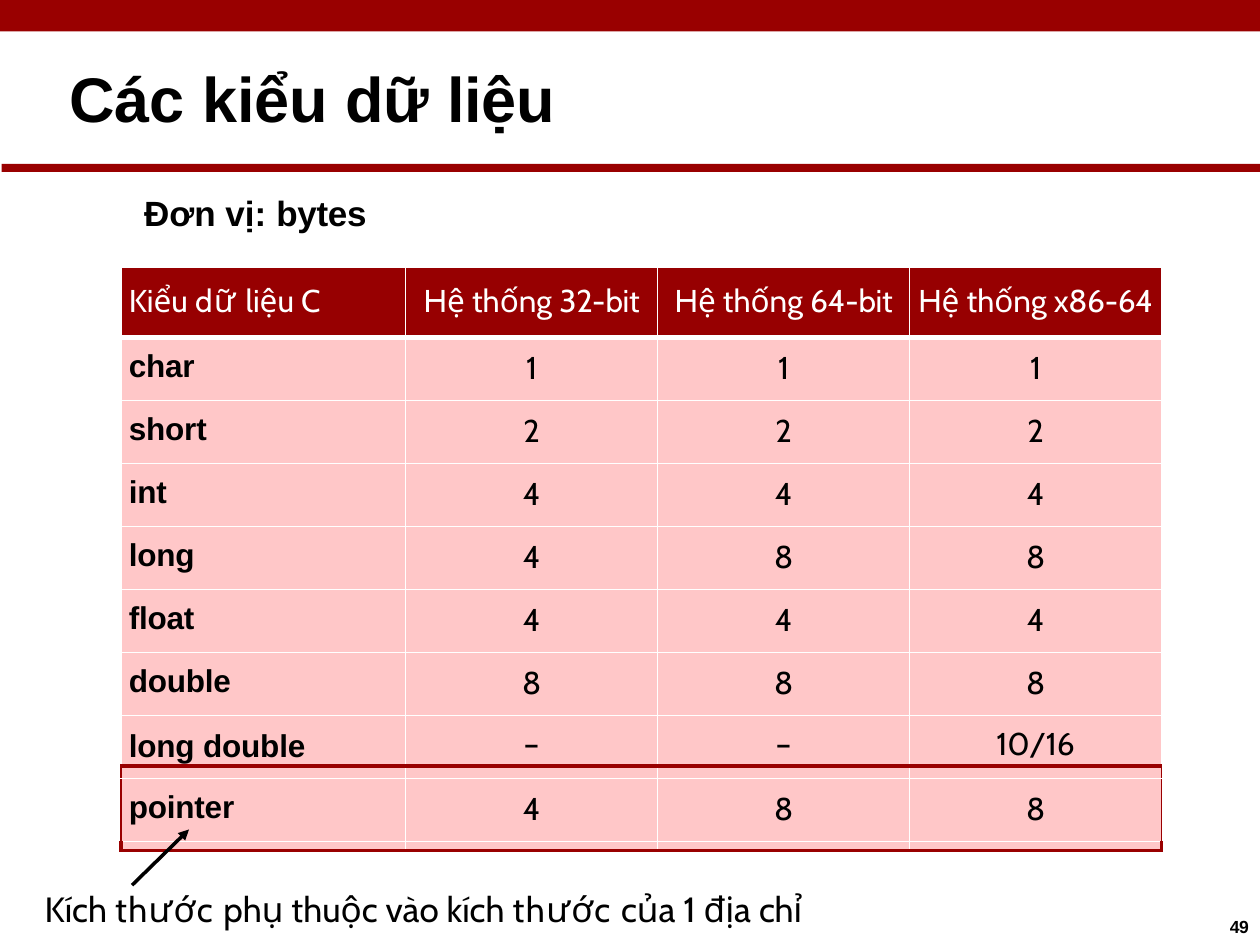
from dataclasses import dataclass

from lxml.etree import SubElement as Sub
from pptx import Presentation
from pptx.dml.color import RGBColor as Rgb
from pptx.enum.shapes import MSO_CONNECTOR as Link, MSO_SHAPE as Kind
from pptx.enum.text import MSO_ANCHOR as Anchor, MSO_AUTO_SIZE as Auto, PP_ALIGN as Align
from pptx.oxml.ns import qn
from pptx.util import Pt


@dataclass(frozen=True)
class Theme:
    red: str = "990000"
    head: str = "970001"
    pink: str = "FFC7C8"
    white: str = "FFFFFF"
    black: str = "000000"
    sans: str = "Arial"
    soft: str = "Cabin"
    title: float = 36
    note: float = 20
    cell: float = 18
    num: float = 10
    tiny: float = 1


T = Theme()
COLS = [162.7, 144, 144, 144]
ROWS = [40.3] + [36] * 6 + [28.8, 7.2, 36, 5]
HEAD = [
    [("Kiểu ", 0), ("dữ ", 0.9), ("liệu ", 0), ("C", -0.5)],
    [("Hệ thống ", 0), ("32-", -0.1), ("bit", -0.2)],
    [("Hệ thống ", 0), ("64-", -0.1), ("bit", -0.2)],
    [("Hệ thống ", 0), ("x86-64", -0.2)],
]
BODY = {
    1: ("char", "1", "1", "1"),
    2: ("short", "2", "2", "2"),
    3: ("int", "4", "4", "4"),
    4: ("long", "4", "8", "8"),
    5: ("float", "4", "4", "4"),
    6: ("double", "8", "8", "8"),
    7: ("long double", "–", "–", "10/16"),
    9: ("pointer", "4", "8", "8"),
}
GAPS = {"–": 4.8, "10/16": -0.1}
TIGHT = 7


def put(item, vals):
    for key, val in vals.items():
        setattr(item, key, val)


def pads(left=0, top=0):
    return dict(margin_left=Pt(left), margin_top=Pt(top), margin_right=0, margin_bottom=0)


def look(size, face, bold=False):
    return dict(size=Pt(size), name=face, bold=bold)


def write(para, runs, font, tint=T.black, align=Align.LEFT):
    para.alignment = align
    for text, gap in runs:
        run = para.add_run()
        run.text = text
        put(run.font, font)
        run.font.color.rgb = Rgb.from_string(tint)
        if gap:
            run.font._element.set("spc", str(round(gap * 100)))


def fill_text(shape, runs, font, left=0, top=0):
    frame = shape.text_frame
    put(frame, dict(word_wrap=True, auto_size=Auto.SHAPE_TO_FIT_TEXT,
                    vertical_anchor=Anchor.TOP, **pads(left, top)))
    write(frame.paragraphs[0], runs, font)


def label(slide, box, runs, font, left=0, top=0):
    shape = slide.shapes.add_textbox(*map(Pt, box))
    fill_text(shape, runs, font, left, top)


def bar(slide, box):
    shape = slide.shapes.add_shape(Kind.RECTANGLE, *map(Pt, box))
    shape.shadow.inherit = False
    shape.fill.solid()
    shape.fill.fore_color.rgb = Rgb.from_string(T.red)
    shape.line.fill.background()


def header(slide, box):
    x, y, w, h = box
    bar(slide, (x, y, w, 18))
    bar(slide, (x + 1, y + h - 4.5, w - 1, 4.5))
    title = slide.shapes.title
    put(title, dict(zip(("left", "top", "width", "height"),
                        map(Pt, (x + 13.5, y + 33.1, w - 18.7, 46.8)))))
    fill_text(title, [("Các kiểu dữ ", 0), ("liệu", -0.2)],
              look(T.title, T.sans, True), 26, 0.9)


def edge(cell, side, tint, width):
    line = Sub(cell._tc.get_or_add_tcPr(), qn("a:ln" + side), w=str(Pt(width)))
    paint = Sub(line, qn("a:solidFill"))
    Sub(paint, qn("a:srgbClr"), val=tint)


def rule(row):
    if row == 1:
        return T.white, 3
    return (T.red, 2.25) if row in (8, len(ROWS)) else (T.white, 1)


def side(row, col):
    last = row == len(ROWS) - 1
    if row >= 8 and col in (0, len(COLS)):
        return T.red, 2.25 if last else 1
    return None if last else (T.white, 1)


def frame_cell(cell, row, col):
    lines = dict(L=side(row, col), R=side(row, col + 1), T=rule(row), B=rule(row + 1))
    for name, line in lines.items():
        if line:
            edge(cell, name, *line)
    cell.fill.solid()
    cell.fill.fore_color.rgb = Rgb.from_string(T.pink if row else T.head)


def cell_text(cell, row, col):
    para = cell.text_frame.paragraphs[0]
    align = Align.CENTER if col else Align.LEFT
    left = 0 if col else 4.5
    if row == 0:
        put(cell, pads(left, 8.8))
        write(para, HEAD[col], look(T.cell, T.soft), T.white, align)
    elif row in BODY:
        put(cell, pads(left, 6.8))
        text = BODY[row][col]
        gap = GAPS.get(text, -0.5) if col else -0.1
        font = look(T.cell, T.soft if col else T.sans, not col)
        write(para, [(text, gap)], font, T.black, align)
        if row == TIGHT:
            para.line_spacing = Pt(20.8)
    else:
        put(cell, pads())
        Sub(para._p, qn("a:endParaRPr"), sz=str(round(T.tiny * 100)))


def grid(slide, box):
    table = slide.shapes.add_table(len(ROWS), len(COLS), *map(Pt, box)).table
    put(table, dict(first_row=False, horz_banding=False))
    for col, width in zip(table.columns, COLS):
        col.width = Pt(width)
    for row, height in zip(table.rows, ROWS):
        row.height = Pt(height)
    for row in range(len(ROWS)):
        for col in range(len(COLS)):
            cell = table.cell(row, col)
            frame_cell(cell, row, col)
            cell_text(cell, row, col)


def note(slide, box):
    x, y, w, h = box
    label(slide, (x, y + h - 26, w, 26),
          [("Kích ", 0), ("thước ", 0.8), ("phụ thuộc vào kích ", 0),
           ("thước ", 0.8), ("của 1 địa ", 0), ("chỉ", -0.2)],
          look(T.note, T.soft), 1, 1)
    ends = (x + 51, y + 31.8, x + 83.5, y)
    arrow = slide.shapes.add_connector(Link.STRAIGHT, *map(Pt, ends))
    arrow.line.width = Pt(2)
    arrow.line.color.rgb = Rgb.from_string(T.black)
    Sub(arrow.line._get_or_add_ln(), qn("a:tailEnd"), type="triangle")
    Sub(arrow._element.spPr, qn("a:effectLst"))


def main():
    deck = Presentation()
    put(deck, dict(slide_width=Pt(720), slide_height=Pt(540)))
    slide = deck.slides.add_slide(deck.slide_layouts[5])
    grid(slide, (69.1, 152.6, sum(COLS), sum(ROWS)))
    header(slide, (0, 0, 720, 98.2))
    label(slide, (81.4, 108.7, 129.6, 26), [("Đơn vị: ", 0), ("bytes", -0.2)],
          look(T.note, T.sans, True), 1, 1)
    note(slide, (24.5, 474, 450, 58.2))
    label(slide, (699.8, 523.4, 16, 13.5), [("49", -0.2)],
          look(T.num, T.sans, True), 3)
    deck.save("out.pptx")


if __name__ == "__main__":
    main()
